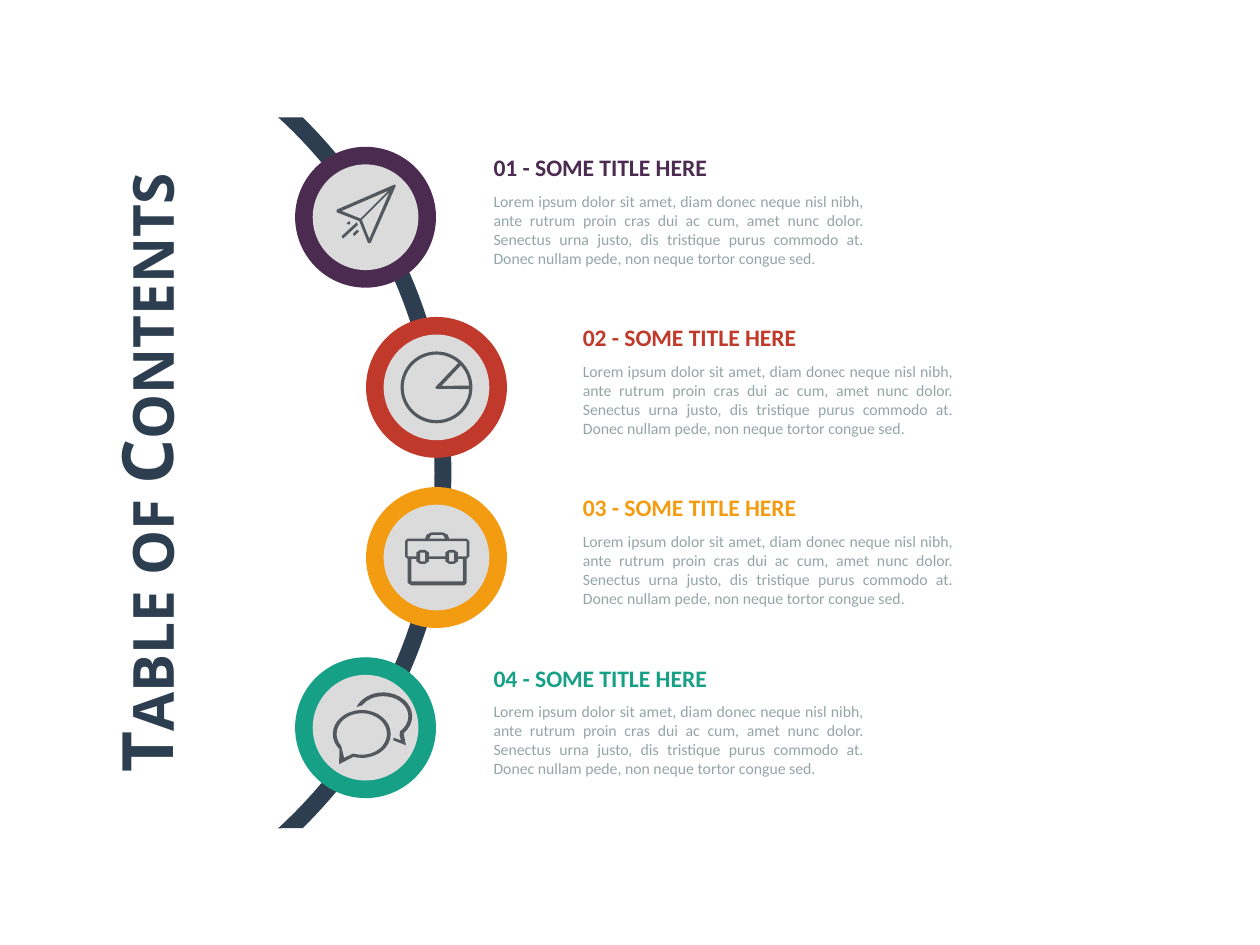
from math import ceil, cos, floor, radians, sin, tan

from lxml.etree import SubElement
from pptx import Presentation
from pptx.dml.color import RGBColor
from pptx.enum.shapes import MSO_SHAPE
from pptx.enum.text import MSO_ANCHOR, MSO_AUTO_SIZE, PP_ALIGN
from pptx.oxml.ns import qn
from pptx.util import Cm, Pt


def arc(x, y, wide, high, start, end):
    """Curve points on an ellipse, in degrees clockwise from the right.

    Cut at each quarter; a third item marks two handles and an end point.
    """
    low, top = sorted((start, end))
    cuts = [90 * i for i in range(floor(low / 90) + 1, ceil(top / 90))]
    stops = [start, *(cuts if start < end else cuts[::-1]), end]

    def spot(turn, pull=0):
        c, s = cos(radians(turn)), sin(radians(turn))
        return x + wide * (c - pull * s), y + high * (s + pull * c)

    points = [spot(start)]
    for a, b in zip(stops, stops[1:]):
        pull = 4 / 3 * tan(radians(b - a) / 4)
        points += [(*p, True) for p in (spot(a, pull), spot(b, -pull), spot(b))]
    return points


def clasp(x, side):
    """Edge of a clasp with its left at x, above (-1) or below (1) the lid line."""
    low, mid, far = (-1, -4, -6) if side < 0 else (1, 3, 5)
    return [(x, low), (x, mid), (x + 3, far), (x + 7, far), (x + 10, mid), (x + 10, low)]


NAVY, GREY, DISC, INK = "2C3E50", "95A5A6", "DBDBDB", "53585F"
HEAD = "Table of Contents"
BODY = ("Lorem ipsum dolor sit amet, diam donec neque nisl nibh, ante rutrum "
        "proin cras dui ac cum, amet nunc dolor. Senectus urna justo, dis "
        "tristique purus commodo at. Donec nullam pede, non neque tortor "
        "congue sed.")

# Icon outlines around the disc centre, in hundredths of an inch
PLANE = [
    [(23, -26), (-23, -6), (-23, -4), (-5, 3), (2, 20.5), (4, 20.5), (24, -25)],
    [(3, 17), (-3, 2), (19, -20)],
    [(-19, -5), (18, -21), (-4, 1)],
    [(-7, 10), (-10, 13), (-9, 15), (-5, 11)],
    [(-7, 4), (-19, 15), (-18, 17), (-6, 6)],
    [(-13, 3), (-15, 5), (-13, 6), (-12, 4.5)],
]
PIE = [
    arc(0, 0, 28.5, 28.5, 0, 360),
    arc(0, 0, 26, 26, 3, 312) + [(-1, 0), (0, 1.2)],
    arc(0, 0, 26, 26, -42, -3) + [(4, -1.2)],
]
CASE = [
    [(-9, -15), (-8, -18), (-4, -20), (5, -20), (9, -18), (10, -15),
     (24, -15), (26, -13), (26, -1), (24, 1), (24, 20), (22, 22),
     (-20, 22), (-23, 20), (-23, 1), (-25, -1), (-25, -13), (-23, -15)],
    [(-4, -18), (5, -18), (7, -15), (-6, -15)],
    [(-23, -13), (-23, -1)] + clasp(-16, -1) + clasp(7, -1) + [(24, -1), (24, -13)],
    [(-20, 19), (-20, 1)] + clasp(-16, 1) + clasp(7, 1) + [(21, 1), (21, 19)],
    [(-13, -4), (-9, -4), (-9, 3), (-13, 3)],
    [(10, -4), (14, -4), (14, 3), (10, 3)],
]
CHAT = [
    arc(-3, 5, 23, 19, 140, 467) + [(-21, 29)],
    arc(-3, 5, 20, 16.5, 145, 470) + [(-17, 24)],
    arc(14, -9, 23, 19, -157, 45)
    + [(32, 14), (22, 10), (22, 8), (28, 10), (27, 6)]
    + arc(14, -9, 20, 16, 48, -147),
]

# Title, colour, ring left, text left, icon
ITEMS = [
    ("01 - SOME TITLE HERE", "4B2C50", 5.95, 9.7, PLANE),
    ("02 - SOME TITLE HERE", "C0392B", 7.38, 11.5, PIE),
    ("03 - SOME TITLE HERE", "F39C12", 7.38, 11.5, CASE),
    ("04 - SOME TITLE HERE", "16A085", 5.95, 9.7, CHAT),
]
TOP, PITCH, RING, HOLE = 2.96, 3.43, 2.84, 2.13

# Road pieces: outer edge from and to, inner edge from and to, in degrees
ENDS = [(-45.4, -38.2, -39.4, -47.5), (-25.1, -16.6, -16.7, -24.9)]
ROAD = ENDS + [(-3.3, 3.3, 3.3, -3.3)] + [[-a for a in end] for end in ENDS[::-1]]
HUB_X, HUB_Y, OUTER, INNER = -0.96, 9.53, 10.06, 9.72


def hue(code):
    return RGBColor.from_string(code)


def paint(shape, code):
    shape.shadow.inherit = False
    shape.fill.solid()
    shape.fill.fore_color.rgb = hue(code)
    shape.line.fill.background()


def bend(shape, loops):
    """Turn each marked run of three line ends into one Bézier curve."""
    lines = list(shape.element.iter(qn("a:lnTo")))
    marks = [len(point) > 2 for loop in loops for point in loop[1:]]
    curved = [line for line, mark in zip(lines, marks) if mark]
    for trio in zip(*[iter(curved)] * 3):
        curve = SubElement(trio[0].getparent(), qn("a:cubicBezTo"))
        trio[0].addprevious(curve)
        for line in trio:
            curve.append(line[0])
            line.getparent().remove(line)


def trace(shapes, loops, code, x=0, y=0, unit=Cm(1)):
    """Draw closed loops as one freeform around the point x, y."""
    pen = None
    for loop in loops:
        first, *rest = [(Cm(x) + p[0] * unit, Cm(y) + p[1] * unit) for p in loop]
        if pen is None:
            pen = shapes.build_freeform(*first)
        else:
            pen.move_to(*first)
        pen.add_line_segments(rest, close=True)
    shape = pen.convert_to_shape()
    bend(shape, loops)
    paint(shape, code)


def dot(shapes, x, y, size, code):
    paint(shapes.add_shape(MSO_SHAPE.OVAL, Cm(x), Cm(y), Cm(size), Cm(size)), code)


def write(shapes, text, box, code, align, wrap=True, **looks):
    shape = shapes.add_textbox(*map(Cm, box))
    frame = shape.text_frame
    frame.word_wrap = wrap
    para = frame.paragraphs[0]
    para.alignment = align
    run = para.add_run()
    run.text = text
    for name, value in looks.items():
        setattr(run.font, name, value)
    run.font.color.rgb = hue(code)
    return shape


def main():
    deck = Presentation()
    deck.slide_width, deck.slide_height = Cm(25.4), Cm(19.05)
    shapes = deck.slides.add_slide(deck.slide_layouts[6]).shapes

    for a, b, c, d in ROAD:
        edge = arc(HUB_X, HUB_Y, OUTER, OUTER, a, b)
        trace(shapes, [edge + arc(HUB_X, HUB_Y, INNER, INNER, c, d)], NAVY)

    rows = [(TOP + PITCH * i, *item) for i, item in enumerate(ITEMS)]
    for y, _, code, x, _, _ in rows:
        dot(shapes, x, y, RING, code)

    head = write(shapes, HEAD, (-3.43, 8.15, 12.73, 2.77), NAVY, PP_ALIGN.CENTER,
                 size=Pt(40.5), name="Open Sans", bold=True)
    head.rotation = 270
    head.text_frame.vertical_anchor = MSO_ANCHOR.MIDDLE
    head.text_frame.paragraphs[0].runs[0].font._element.set("cap", "small")

    for y, title, code, _, left, _ in rows:
        group = shapes.add_group_shape().shapes
        label = write(group, title, (left, y, 4.88, 0.84), code, PP_ALIGN.LEFT,
                      wrap=False, size=Pt(13.5), name="Calibri", bold=True)
        body = write(group, BODY, (left, y + 0.78, 7.95, 1.8), GREY,
                     PP_ALIGN.JUSTIFY, size=Pt(9), name="Calibri")
        for part in (label, body):
            part.text_frame.auto_size = MSO_AUTO_SIZE.SHAPE_TO_FIT_TEXT

    inset = (RING - HOLE) / 2
    for y, _, _, x, _, _ in rows:
        dot(shapes, x + inset, y + inset, HOLE, DISC)
    for y, _, _, x, _, icon in rows:
        trace(shapes, icon, INK, x + RING / 2, y + RING / 2, Cm(2.54) / 100)

    deck.save("out.pptx")


if __name__ == "__main__":
    main()
